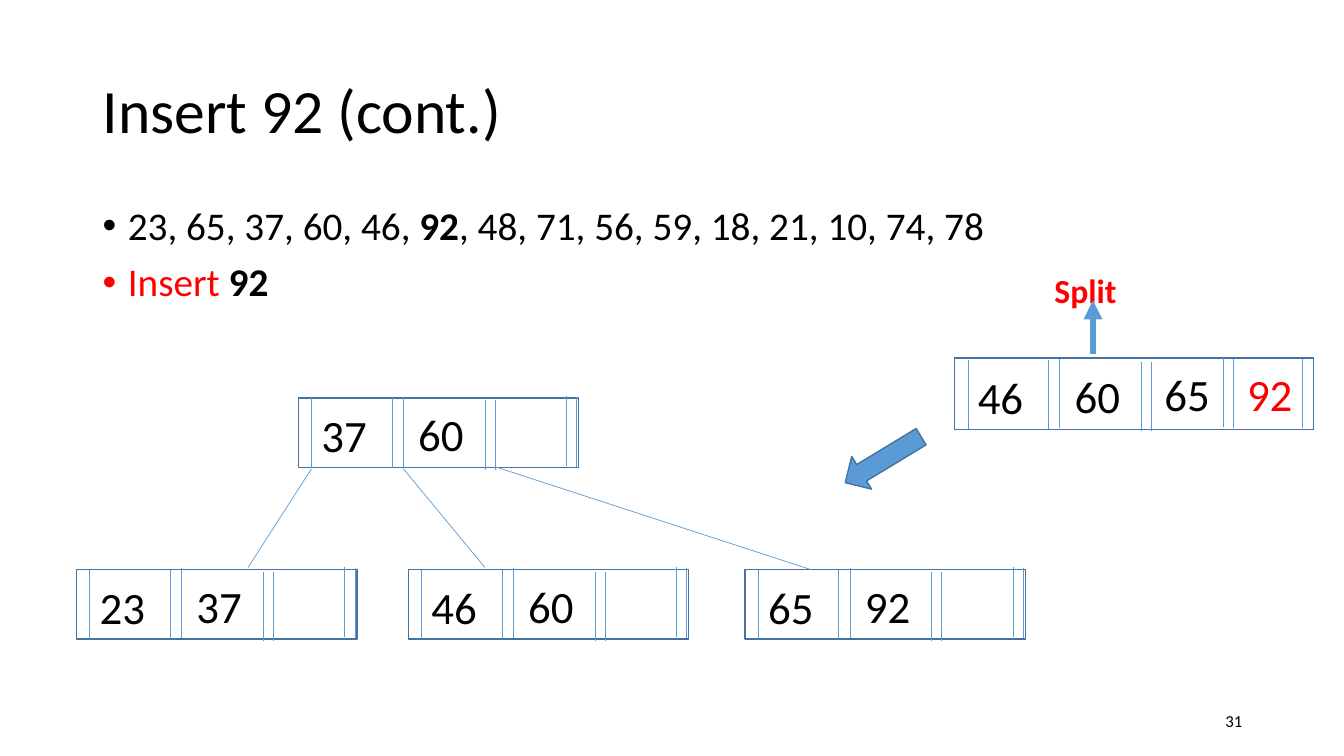
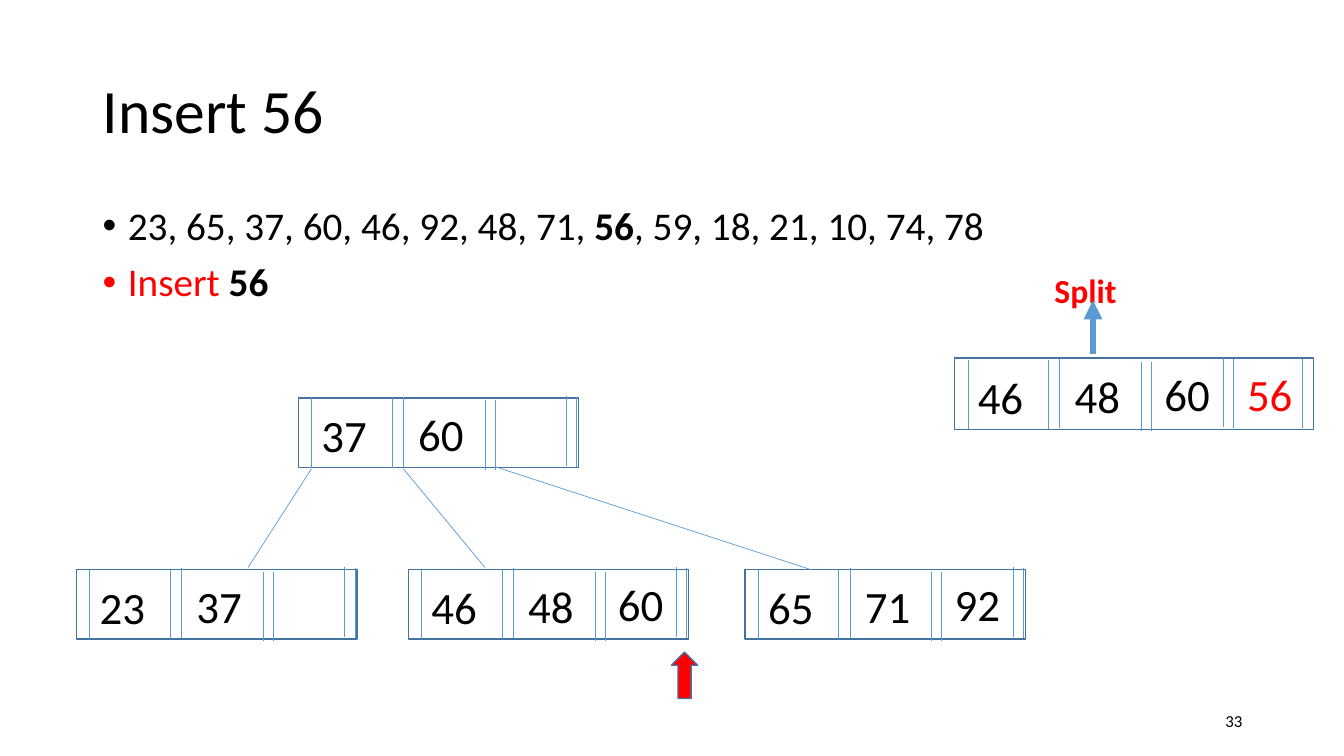
from dataclasses import dataclass

from lxml.etree import SubElement
from pptx import Presentation
from pptx.dml.color import RGBColor
from pptx.enum.shapes import MSO_CONNECTOR, MSO_SHAPE
from pptx.enum.text import MSO_ANCHOR, MSO_AUTO_SIZE, PP_ALIGN
from pptx.oxml.ns import qn
from pptx.util import Inches, Pt


@dataclass(frozen=True)
class Theme:
    """Colours, font and sizes shared by all slides."""
    font: str = "Calibri"
    ink: str = "000000"
    accent: str = "FF0000"
    pointer: str = "5B9BD5"
    outline: str = "43739E"
    title: int = 44
    body: int = 28
    key: int = 32
    label: int = 24
    number: int = 12
    hairline: float = 0.5
    border: float = 1
    thick: float = 4.5


SEQUENCE = "23, 65, 37, 60, 46, 92, 48, 71, 56, 59, 18, 21, 10, 74, 78"

# Offsets from a node's corner: x and y of each divider and each key
DIVIDERS = [(0.13, 0), (0.93, 0), (1.04, -0.01), (1.85, 0.02), (1.95, 0.02),
            (2.66, -0.02), (2.76, -0.01), (3.45, -0.01)]
KEYS = [(0.13, 0.05), (1.09, 0.04), (1.98, 0.02), (2.8, 0.02)]
DIVIDER_HEIGHT = 0.69
LEAF_SIZE = (2.78, 0.69)
OVERFLOW_SIZE = (3.56, 0.71)

ROOT_AT = (2.96, 3.95)
LEAVES_AT = [(0.76, 5.65), (4.05, 5.65), (7.39, 5.65)]
OVERFLOW_AT = (9.47, 3.55)
POINTERS = [((3.09, 4.65), (2.46, 5.63)),
            ((4, 4.65), (4.81, 5.63)),
            ((4.91, 4.63), (8.04, 5.65))]


def apply(target, values):
    """Set every attribute named in values on target."""
    for name, value in values.items():
        setattr(target, name, value)


def inches(*lengths):
    """Turn plain numbers into slide lengths."""
    return [Inches(length) for length in lengths]


class TreeDeck:
    """Draws tree insertion slides in one style."""

    def __init__(self, theme):
        """Start an empty wide deck."""
        self.theme = theme
        self.deck = Presentation()
        apply(self.deck, {"slide_width": Inches(13.33),
                          "slide_height": Inches(7.5)})
        self.slide = None

    def new_slide(self):
        """Add a blank slide and make it current."""
        self.slide = self.deck.slides.add_slide(self.deck.slide_layouts[6])

    def add_run(self, paragraph, wording, size, color=None, bold=False):
        """Append one styled run."""
        run = paragraph.add_run()
        run.text = wording
        apply(run.font, {"name": self.theme.font, "size": Pt(size), "bold": bold})
        run.font.color.rgb = RGBColor.from_string(color or self.theme.ink)

    def text(self, at, runs, frame=None, paragraph=None):
        """Add a text box with one paragraph and return its frame."""
        box = self.slide.shapes.add_textbox(*inches(*at)).text_frame
        apply(box, {"word_wrap": True, **(frame or {})})
        first = box.paragraphs[0]
        apply(first, paragraph or {})
        for run in runs:
            self.add_run(first, *run)
        return box

    def title(self, wording):
        """Add the slide title."""
        self.text((0.92, 0.4, 11.5, 1.45), [(wording, self.theme.title)],
                  {"vertical_anchor": MSO_ANCHOR.MIDDLE}, {"line_spacing": 0.9})

    def page_number(self, number):
        """Add the slide number at the lower right."""
        self.text((9.42, 6.95, 3, 0.4), [(str(number), self.theme.number)],
                  {"vertical_anchor": MSO_ANCHOR.MIDDLE},
                  {"alignment": PP_ALIGN.RIGHT})

    def bullets(self, key, height):
        """List the key sequence and the step that inserts key."""
        size = self.theme.body
        before, current, after = SEQUENCE.partition(key)
        box = self.text((0.92, 2, 11.5, height),
                        [(before, size), (current, size, None, True), (after, size)])
        step = box.add_paragraph()
        self.add_run(step, "Insert ", size, self.theme.accent)
        self.add_run(step, key, size, bold=True)
        for paragraph in box.paragraphs:
            apply(paragraph, {"line_spacing": 0.9, "space_before": Pt(10)})
            properties = paragraph._p.get_or_add_pPr()
            properties.set("marL", str(Inches(0.25)))
            properties.set("indent", str(Inches(-0.25)))
            SubElement(properties, qn("a:buFont")).set("typeface", "Arial")
            SubElement(properties, qn("a:buChar")).set("char", "•")

    def line(self, start, end, width=None, arrow=False):
        """Draw a straight line, with an arrowhead at its end if asked."""
        link = self.slide.shapes.add_connector(
            MSO_CONNECTOR.STRAIGHT, *inches(*start, *end))
        link.line.color.rgb = RGBColor.from_string(self.theme.pointer)
        link.line.width = Pt(width or self.theme.hairline)
        properties = link._element.spPr
        if arrow:
            SubElement(properties.find(qn("a:ln")), qn("a:tailEnd")).set("type", "triangle")
        SubElement(properties, qn("a:effectLst"))

    def shape(self, preset, at, fill=None, rotation=0):
        """Add an outlined preset shape."""
        outline = self.slide.shapes.add_shape(preset, *inches(*at))
        outline.shadow.inherit = False
        outline.rotation = rotation
        if fill:
            outline.fill.solid()
            outline.fill.fore_color.rgb = RGBColor.from_string(fill)
        else:
            outline.fill.background()
        outline.line.color.rgb = RGBColor.from_string(self.theme.outline)
        outline.line.width = Pt(self.theme.border)

    def node(self, at, keys, size=LEAF_SIZE, inserted=None):
        """Draw a node: its box, dividers and keys, with inserted in red."""
        left, top = at
        width, height = size
        self.shape(MSO_SHAPE.RECTANGLE, (*at, *size))
        inner_top = top + height - DIVIDER_HEIGHT
        for dx, dy in DIVIDERS:
            if dx < width:
                x, y = left + dx, inner_top + dy
                self.line((x, y), (x, y + DIVIDER_HEIGHT))
        for key, (dx, dy) in zip(keys, KEYS):
            color = self.theme.accent if key == inserted else self.theme.ink
            self.text((left + dx, inner_top + dy, 0.8, 0.64),
                      [(key, self.theme.key, color)],
                      {"auto_size": MSO_AUTO_SIZE.SHAPE_TO_FIT_TEXT})

    def tree(self, root, leaves):
        """Draw the root, its leaves and the pointers between them."""
        self.node(ROOT_AT, root)
        for at, keys in zip(LEAVES_AT, leaves):
            self.node(at, keys)
        for start, end in POINTERS:
            self.line(start, end)

    def split(self, keys, inserted):
        """Draw the overfull node and the key that moves up."""
        self.node(OVERFLOW_AT, keys, OVERFLOW_SIZE, inserted)
        self.text((10.36, 2.63, 0.96, 0.5),
                  [("Split", self.theme.label, self.theme.accent, True)],
                  {"auto_size": MSO_AUTO_SIZE.SHAPE_TO_FIT_TEXT})
        self.line((10.84, 3.51), (10.84, 2.98), self.theme.thick, arrow=True)

    def insertion(self, title, key, number, body_height, leaves, overflow):
        """Build one insertion slide."""
        self.new_slide()
        self.title(title)
        self.bullets(key, body_height)
        self.page_number(number)
        self.tree(["37", "60"], leaves)
        self.split(overflow, key)


def main():
    """Build both slides and save the deck."""
    theme = Theme()
    deck = TreeDeck(theme)

    deck.insertion("Insert 92 (cont.)", "92", 31, 1.13,
                   [["23", "37"], ["46", "60"], ["65", "92"]],
                   ["46", "60", "65", "92"])
    deck.shape(MSO_SHAPE.LEFT_ARROW, (8.32, 4.37, 0.88, 0.38),
               theme.pointer, rotation=328.8)

    deck.insertion("Insert 56", "56", 33, 4.76,
                   [["23", "37"], ["46", "48", "60"], ["65", "71", "92"]],
                   ["46", "48", "60", "56"])
    deck.shape(MSO_SHAPE.UP_ARROW, (6.66, 6.47, 0.26, 0.46), theme.accent)

    deck.deck.save("out.pptx")


main()
